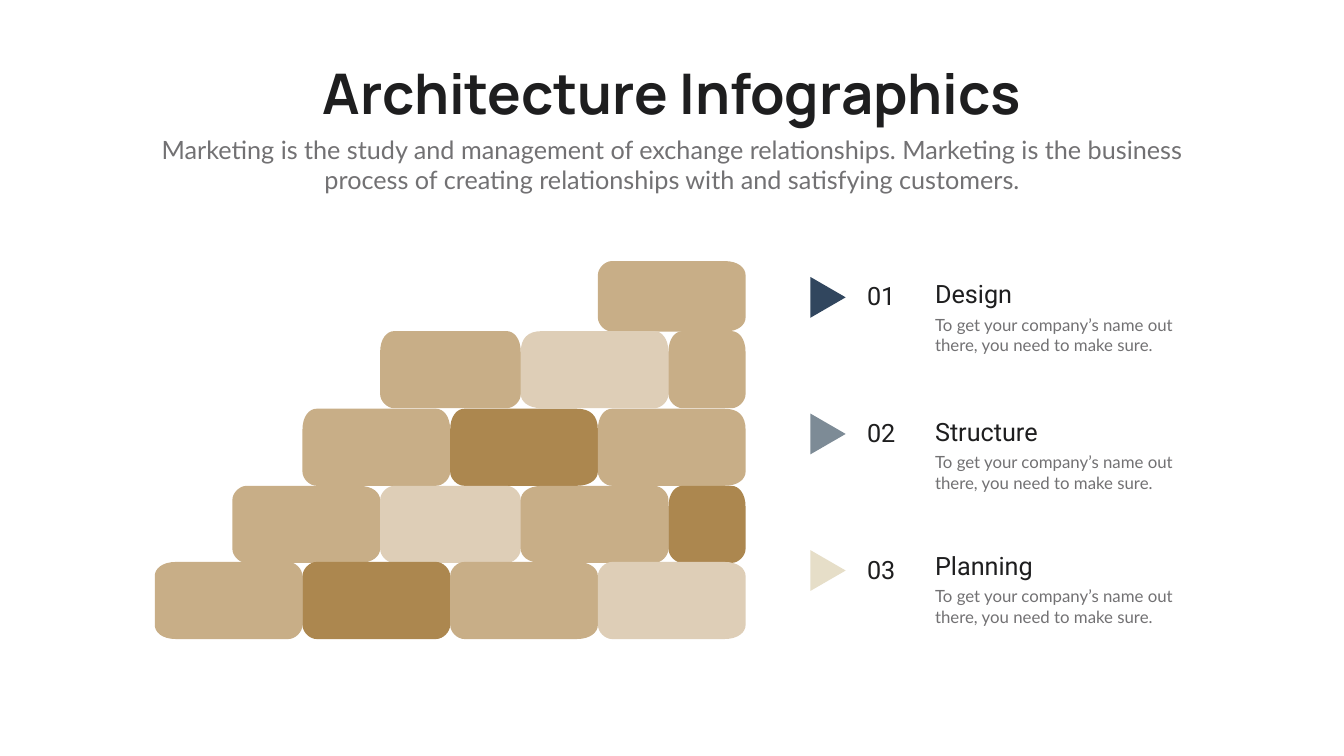
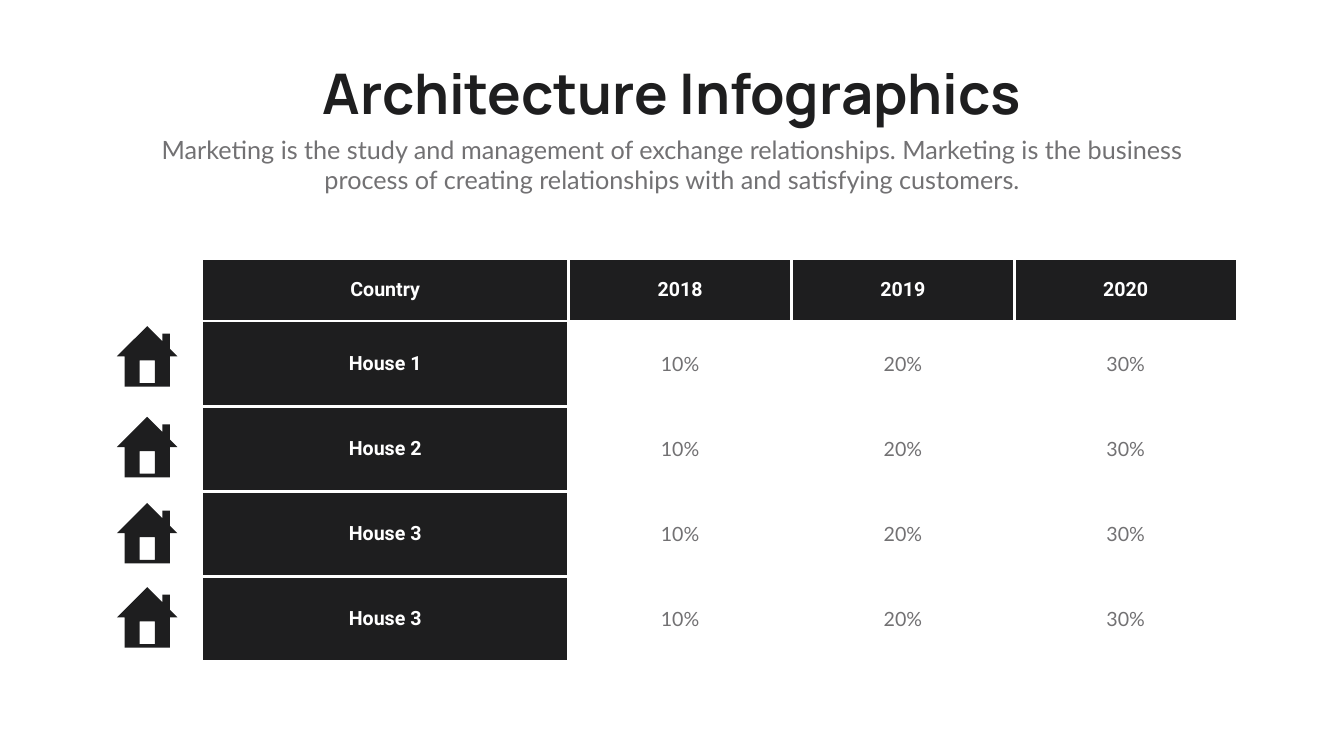
import pptx
import pptx.dml.color
import pptx.enum.shapes
import pptx.enum.text
import pptx.oxml
import pptx.oxml.ns
import pptx.util

Inches = pptx.util.Inches
ALIGN = pptx.enum.text.PP_ALIGN
TRIANGLE = pptx.enum.shapes.MSO_SHAPE.ISOSCELES_TRIANGLE

COLORS = {
    "ink": "1E1E1F", "grey": "727173", "white": "FFFFFF",
    "sand": "C8AE87", "light": "DECEB7", "brown": "AC874F",
    "navy": "31465E", "slate": "7D8B96", "cream": "E6DEC8",
}
STYLES = {
    "title": {"name": "Manrope", "size": 80, "color": "ink", "bold": True},
    "subtitle": {"name": "Lato", "size": 36, "color": "grey", "bold": False},
    "heading": {"name": "Roboto", "size": 36, "color": "ink", "bold": False},
    "body": {"name": "Lato", "size": 24, "color": "grey", "bold": False},
    "label": {"name": "Roboto", "size": 28, "color": "white", "bold": True},
    "value": {"name": "Lato", "size": 28, "color": "grey", "bold": False},
}

TITLE = "Architecture Infographics"
SUBTITLE = ("Marketing is the study and management of exchange relationships. "
            "Marketing is the business process of creating relationships with "
            "and satisfying customers.")

# Each course: top, height, top corner depth, and bricks as
# (width, left corner, right corner, colour).
TIGHT, WIDE, CONTROL = 0.28, 0.42, 0.14
FULL, MEDIUM, HALF = 2.93, 2.79, 1.53
COURSES = [
    (0, 1.4, TIGHT, [(FULL, TIGHT, WIDE, "sand")]),
    (1.39, 1.53, WIDE, [(MEDIUM, TIGHT, TIGHT, "sand"),
                        (FULL, WIDE, TIGHT, "light"),
                        (HALF, TIGHT, TIGHT, "sand")]),
    (2.93, 1.53, WIDE, [(FULL, TIGHT, TIGHT, "sand"),
                        (FULL, TIGHT, WIDE, "brown"),
                        (FULL, TIGHT, WIDE, "sand")]),
    (4.46, 1.53, TIGHT, [(FULL, TIGHT, WIDE, "sand"),
                         (MEDIUM, TIGHT, TIGHT, "light"),
                         (FULL, WIDE, TIGHT, "sand"),
                         (HALF, TIGHT, TIGHT, "brown")]),
    (5.97, 1.53, TIGHT, [(FULL, WIDE, TIGHT, "sand"),
                         (FULL, TIGHT, TIGHT, "brown"),
                         (FULL, TIGHT, WIDE, "sand"),
                         (FULL, TIGHT, WIDE, "light")]),
]

STEP_TEXT = "To get your company’s name out there, you need to make sure."
STEPS = [("Design", "navy", 0), ("Structure", "slate", 2.73),
         ("Planning", "cream", 5.39)]

TABLE_ROWS = [["Country", "2018", "2019", "2020"]] + [
    [house, "10%", "20%", "30%"]
    for house in ("House 1", "House 2", "House 3", "House 3")]
COLUMN_WIDTHS = [7.28] + [4.42] * 3
ROW_HEIGHTS = [1.23] + [1.69] * 4
HOUSE_TOPS = [6.47, 8.27, 9.98, 11.65]
HOUSE_WALLS = [(1.05, 0.45), (1.05, 0.15), (0.9, 0.15), (0.9, 0.3), (0.6, 0),
               (0, 0.6), (0.15, 0.6), (0.15, 1.2), (1.05, 1.2), (1.05, 0.6),
               (1.2, 0.6)]
HOUSE_DOOR = [(0.75, 1.13), (0.45, 1.13), (0.45, 0.68), (0.75, 0.68)]


def rgb(color):
    return pptx.dml.color.RGBColor.from_string(COLORS[color])


def write(paragraph, text, style, align=ALIGN.LEFT):
    paragraph.alignment = align
    run = paragraph.add_run()
    run.text = text
    look = STYLES[style]
    values = {"name": look["name"], "size": pptx.util.Pt(look["size"]),
              "bold": look["bold"]}
    for attribute, value in values.items():
        setattr(run.font, attribute, value)
    run.font.color.rgb = rgb(look["color"])


def add_text(slide, box, text, style, align=ALIGN.LEFT, wrap=True):
    frame = slide.shapes.add_textbox(*map(Inches, box)).text_frame
    frame.word_wrap = wrap
    frame.auto_size = pptx.enum.text.MSO_AUTO_SIZE.SHAPE_TO_FIT_TEXT
    write(frame.paragraphs[0], text, style, align)


def paint(shape, color):
    shape.shadow.inherit = False
    shape.fill.solid()
    shape.fill.fore_color.rgb = rgb(color)
    shape.line.fill.background()


def add_outline(slide, left, top, contours, color):
    """Draw closed contours, given in inches from (left, top), as one shape."""
    placed = [[(Inches(left + x), Inches(top + y)) for x, y in contour]
              for contour in contours]
    builder = slide.shapes.build_freeform(*placed[0][0])
    for index, points in enumerate(placed):
        if index:
            builder.move_to(*points[0])
        builder.add_line_segments(points[1:], close=True)
    shape = builder.convert_to_shape()
    paint(shape, color)
    return shape


def corner(x, y, dx, dy):
    """Start, two control points and end, from the vertical to the horizontal side."""
    control_x = CONTROL if dx > 0 else -CONTROL
    control_y = CONTROL if dy > 0 else -CONTROL
    return [(x, y + dy), (x, y + control_y), (x + control_x, y), (x + dx, y)]


def add_brick(slide, left, top, width, height, corners, color):
    left_corner, right_corner, top_corner = corners
    outline = (corner(0, height, left_corner, -TIGHT)
               + corner(width, height, -right_corner, -TIGHT)[::-1]
               + corner(width, 0, -right_corner, top_corner)
               + corner(0, 0, left_corner, top_corner)[::-1])
    round_corners(add_outline(slide, left, top, [outline], color))


def round_corners(brick):
    """Merge the three segments of each corner into one Bezier curve."""
    lines = list(brick._element.iter(pptx.oxml.ns.qn("a:lnTo")))
    for first in range(0, len(lines), 4):
        curve = pptx.oxml.parse_xml(
            f'<a:cubicBezTo {pptx.oxml.ns.nsdecls("a")}/>')
        lines[first].addprevious(curve)
        for line in lines[first:first + 3]:
            curve.append(line[0])
            line.getparent().remove(line)


def add_header(slide, left, top, width):
    add_text(slide, (left + 2.87, top, width - 5.73, 1.45), TITLE, "title",
             ALIGN.CENTER, wrap=False)
    add_text(slide, (left, top + 1.49, width, 1.31), SUBTITLE, "subtitle",
             ALIGN.CENTER)


def add_brick_stairs(slide, right, top):
    """Stack the courses downwards, each flush with the right edge."""
    for offset, height, top_corner, bricks in COURSES:
        left = right - sum(brick[0] for brick in bricks)
        for width, left_corner, right_corner, color in bricks:
            corners = (left_corner, right_corner,
                       WIDE if color == "brown" and width == HALF else top_corner)
            add_brick(slide, left, top + offset, width, height, corners, color)
            left += width


def add_steps(slide, left, top, pitch=2.71):
    for index, (heading, color, offset) in enumerate(STEPS):
        row = top + index * pitch
        heading_top = top + offset
        add_text(slide, (left + 2.43, heading_top + 0.71, 4.94, 0.91),
                 STEP_TEXT, "body")
        add_text(slide, (left + 2.43, heading_top, 3.26, 0.71), heading, "heading")
        add_text(slide, (left + 1.08, row + 0.04, 1.36, 0.71),
                 f"{index + 1:02}", "heading")
        marker = slide.shapes.add_shape(
            TRIANGLE, *map(Inches, (left, row + 0.07, 0.81, 0.7)))
        marker.rotation = 90
        paint(marker, color)


def set_borders(cell, color, points):
    properties = cell._tc.get_or_add_tcPr()
    for side in ("lnL", "lnR", "lnT", "lnB"):
        properties.append(pptx.oxml.parse_xml(
            f'<a:{side} {pptx.oxml.ns.nsdecls("a")} w="{pptx.util.Pt(points)}">'
            f'<a:solidFill><a:srgbClr val="{COLORS[color]}"/></a:solidFill>'
            f'</a:{side}>'))


def add_house_table(slide, left, top):
    table = slide.shapes.add_table(
        len(ROW_HEIGHTS), len(COLUMN_WIDTHS), Inches(left), Inches(top),
        Inches(sum(COLUMN_WIDTHS)), Inches(sum(ROW_HEIGHTS))).table
    table.first_row = table.horz_banding = False
    for column, width in zip(table.columns, COLUMN_WIDTHS):
        column.width = Inches(width)
    for row, height in zip(table.rows, ROW_HEIGHTS):
        row.height = Inches(height)
    cell_format = {
        "margin_left": Inches(0.09), "margin_right": Inches(0.09),
        "margin_top": Inches(0.04), "margin_bottom": Inches(0.04),
        "vertical_anchor": pptx.enum.text.MSO_ANCHOR.MIDDLE,
    }
    for r, texts in enumerate(TABLE_ROWS):
        for c, text in enumerate(texts):
            cell = table.cell(r, c)
            is_label = r == 0 or c == 0
            for attribute, value in cell_format.items():
                setattr(cell, attribute, value)
            set_borders(cell, "white", 4.5)
            cell.fill.solid()
            cell.fill.fore_color.rgb = rgb("ink" if is_label else "white")
            write(cell.text_frame.paragraphs[0], text,
                  "label" if is_label else "value", ALIGN.CENTER)


def add_slide(deck):
    slide = deck.slides.add_slide(deck.slide_layouts[6])
    slide.background.fill.solid()
    slide.background.fill.fore_color.rgb = rgb("white")
    add_header(slide, 2.92, 1.12, 20.82)
    return slide


def add_stairs_slide(deck):
    slide = add_slide(deck)
    add_brick_stairs(slide, 14.79, 5.18)
    add_steps(slide, 16.02, 5.48)


def add_table_slide(deck):
    slide = add_slide(deck)
    add_house_table(slide, 4, 5.14)
    for top in HOUSE_TOPS:
        add_outline(slide, 2.32, top, [HOUSE_WALLS, HOUSE_DOOR], "ink")


def main():
    deck = pptx.Presentation()
    deck.slide_width, deck.slide_height = Inches(26.66), Inches(15)
    add_stairs_slide(deck)
    add_table_slide(deck)
    deck.save("out.pptx")


if __name__ == "__main__":
    main()
